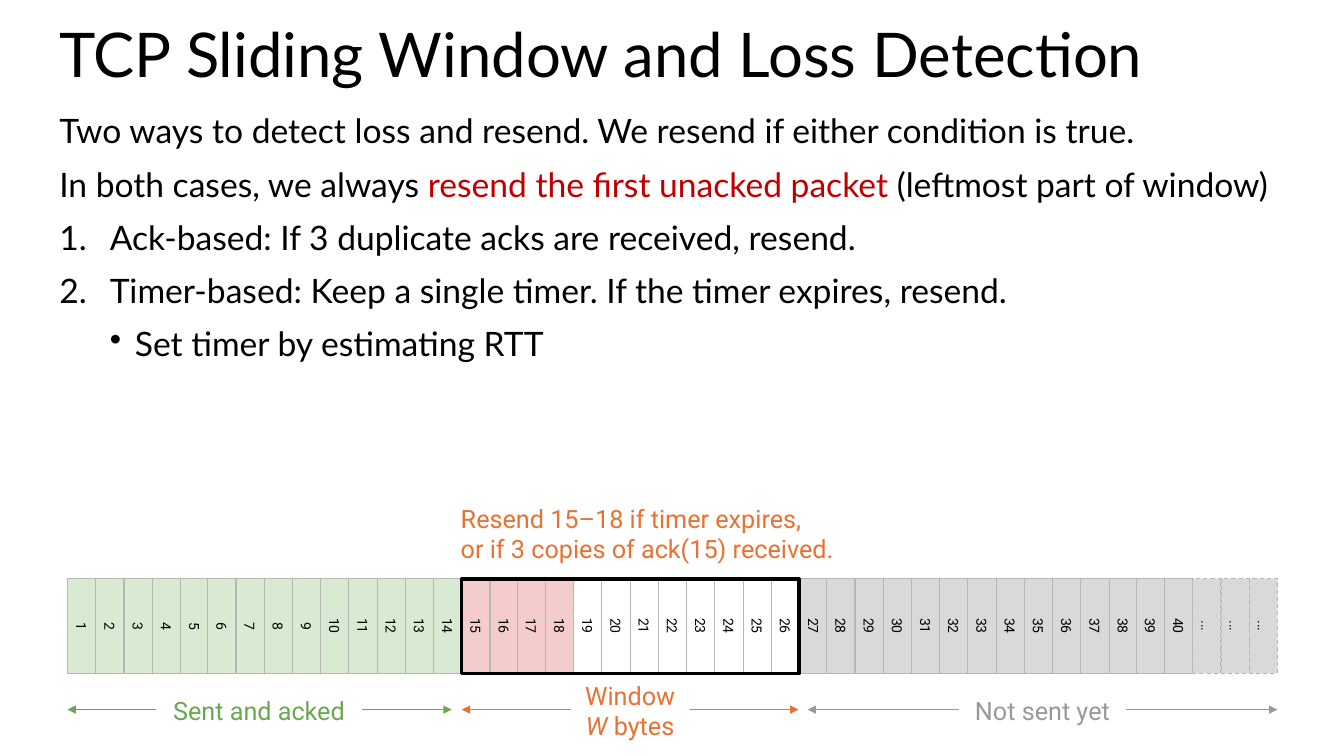
from dataclasses import dataclass

from lxml import etree
from pptx import Presentation
from pptx.dml.color import RGBColor
from pptx.enum.dml import MSO_LINE
from pptx.enum.shapes import MSO_CONNECTOR, MSO_SHAPE
from pptx.enum.text import MSO_ANCHOR, PP_ALIGN
from pptx.oxml.ns import qn
from pptx.util import Pt

RECT = MSO_SHAPE.RECTANGLE
LINE = MSO_CONNECTOR.STRAIGHT
DASH = MSO_LINE.DASH
TOP, MIDDLE = MSO_ANCHOR.TOP, MSO_ANCHOR.MIDDLE
LEFT, CENTER = PP_ALIGN.LEFT, PP_ALIGN.CENTER
PX = 9144  # 100 px to the inch


@dataclass(frozen=True)
class Theme:
    head: str = "Lato"
    label: str = "Roboto"
    ink: str = "000000"
    paper: str = "FFFFFF"
    alert: str = "C00000"
    sent: str = "D9EAD3"
    flight: str = "F4CCCC"
    later: str = "D9D9D9"
    edge: str = "B7B7B7"
    green: str = "6AA84F"
    orange: str = "E97132"
    gray: str = "999999"
    title: int = 44
    body: int = 24
    note: int = 18
    cell: int = 10


THEME = Theme()


@dataclass(frozen=True)
class Span:
    text: str
    color: str = THEME.ink
    italic: bool = False


@dataclass(frozen=True)
class Para:
    spans: tuple[Span, ...]
    mark: str = ""
    left: int = 0
    hang: int = 0
    level: int = 0


@dataclass(frozen=True)
class Box:
    x: int
    y: int
    w: int
    h: int


@dataclass(frozen=True)
class Style:
    font: str
    size: int
    pad: int = 10
    align: PP_ALIGN = LEFT
    anchor: MSO_ANCHOR = TOP
    lead: float = 1.0
    gap: int = 0


@dataclass(frozen=True)
class Range:
    start: int
    end: int
    color: str
    box: Box
    paras: tuple[Para, ...]


HEAD = Style(THEME.head, THEME.title, lead=0.9)
BODY = Style(THEME.head, THEME.body, lead=0.9, gap=6)
NOTE = Style(THEME.label, THEME.note, pad=3)
TAG = Style(THEME.label, THEME.note, pad=3, align=CENTER)
CELL = Style(THEME.label, THEME.cell, align=CENTER, anchor=MIDDLE)


def plain(text: str, color: str = THEME.ink, **marks) -> Para:
    return Para((Span(text, color),), **marks)


POINTS = (
    plain("Two ways to detect loss and resend. We resend if either condition is true."),
    Para((Span("In both cases, we always "),
          Span("resend the first unacked packet ", THEME.alert),
          Span("(leftmost part of window)"))),
    plain("Ack-based: If 3 duplicate acks are received, resend.",
          mark="1.", left=50, hang=50),
    plain("Timer-based: Keep a single timer. If the timer expires, resend.",
          mark="1.", left=50, hang=50),
    plain("Set timer by estimating RTT", mark="•", left=75, hang=25, level=1),
)

RANGES = (
    Range(67, 448, THEME.green, Box(155, 687, 204, 34),
          (plain("Sent and acked", THEME.green),)),
    Range(801, 1267, THEME.gray, Box(951, 687, 166, 34),
          (plain("Not sent yet", THEME.gray),)),
    Range(458, 792, THEME.orange, Box(566, 672, 118, 64),
          (plain("Window", THEME.orange),
           Para((Span("W", THEME.orange, True), Span(" bytes", THEME.orange))))),
)

# Packet strip: equal cells, the last three without a number
STRIP = Box(67, 574, 1200, 94)
COUNT, LAST = 43, 40
ACKED, FLOWN, OPEN = 14, 18, 26


def rgb(code: str) -> RGBColor:
    return RGBColor.from_string(code)


def area(box: Box) -> tuple[int, ...]:
    return box.x * PX, box.y * PX, box.w * PX, box.h * PX


def write(shape, paras: tuple[Para, ...], style: Style) -> None:
    frame = shape.text_frame
    frame.word_wrap = True
    frame.vertical_anchor = style.anchor
    frame.margin_left = frame.margin_right = style.pad * PX
    frame.margin_top = frame.margin_bottom = style.pad * PX
    for i, item in enumerate(paras):
        para = frame.add_paragraph() if i else frame.paragraphs[0]
        if item.mark:
            props = para._p.get_or_add_pPr()
            props.set("marL", str(item.left * PX))
            props.set("indent", str(-item.hang * PX))
            if item.mark == "1.":
                etree.SubElement(props, qn("a:buAutoNum"), type="arabicPeriod")
            else:
                etree.SubElement(props, qn("a:buChar"), char=item.mark)
        para.level = item.level
        para.alignment = style.align
        para.line_spacing = style.lead
        para.space_before = Pt(style.gap if i else 0)
        para.space_after = Pt(style.gap)
        for span in item.spans:
            run = para.add_run()
            run.text = span.text
            run.font.name = style.font
            run.font.size = Pt(style.size)
            run.font.italic = span.italic
            run.font.color.rgb = rgb(span.color)


def add_text(slide, box: Box, paras: tuple[Para, ...], style: Style) -> None:
    write(slide.shapes.add_textbox(*area(box)), paras, style)


def add_rect(slide, box: Box, fill: str = "", edge: str = "", width: float = 0.75):
    shape = slide.shapes.add_shape(RECT, *area(box))
    shape.shadow.inherit = False
    if fill:
        shape.fill.solid()
        shape.fill.fore_color.rgb = rgb(fill)
    else:
        shape.fill.background()
    if edge:
        shape.line.color.rgb = rgb(edge)
        shape.line.width = Pt(width)
    else:
        shape.line.fill.background()
    return shape


def turned(first: int, count: int = 1) -> Box:
    """Box that covers whole cells once it is rotated by 90 degrees."""
    pitch = STRIP.w / COUNT
    long, wide = STRIP.h, round(count * pitch)
    mid = STRIP.x + (first + count / 2) * pitch
    return Box(round(mid - long / 2), round(STRIP.y + (long - wide) / 2), long, wide)


def add_cell(slide, index: int) -> None:
    num = index + 1
    fill = (THEME.sent if num <= ACKED else THEME.flight if num <= FLOWN
            else "" if num <= OPEN else THEME.later)
    cell = add_rect(slide, turned(index), fill, THEME.edge)
    cell.rotation = 90
    if num > LAST:
        cell.line.dash_style = DASH
    write(cell, (plain(str(num) if num <= LAST else "..."),), CELL)


def add_range(slide, item: Range) -> None:
    y = 704 * PX
    line = slide.shapes.add_connector(LINE, item.start * PX, y, item.end * PX, y)
    line.line.color.rgb = rgb(item.color)
    line.line.width = Pt(0.75)
    stroke = line.line._get_or_add_ln()
    for end in ("a:headEnd", "a:tailEnd"):
        etree.SubElement(stroke, qn(end), type="triangle")
    etree.SubElement(line._element.spPr, qn("a:effectLst"))
    write(add_rect(slide, item.box, THEME.paper), item.paras, TAG)


def main() -> None:
    deck = Presentation()
    deck.slide_width, deck.slide_height = 1333 * PX, 750 * PX
    slide = deck.slides.add_slide(deck.slide_layouts[6])

    # Title and points
    add_text(slide, Box(49, 14, 1235, 90),
             (plain("TCP Sliding Window and Loss Detection"),), HEAD)
    add_text(slide, Box(49, 104, 1235, 319), POINTS, BODY)

    # Packets and the window frame
    for index in range(COUNT):
        add_cell(slide, index)
    frame = add_rect(slide, turned(ACKED, OPEN - ACKED), edge=THEME.ink, width=2.25)
    frame.rotation = 90

    # Ranges and the resend note
    for item in RANGES:
        add_range(slide, item)
    hint = "Resend 15–18 if timer expires,\vor if 3 copies of ack(15) received."
    box = slide.shapes.add_textbox(*area(Box(454, 496, 430, 66)))
    lines = hint.split("\v")
    write(box, tuple(plain(line, THEME.orange) for line in lines), NOTE)

    deck.save("out.pptx")


if __name__ == "__main__":
    main()
